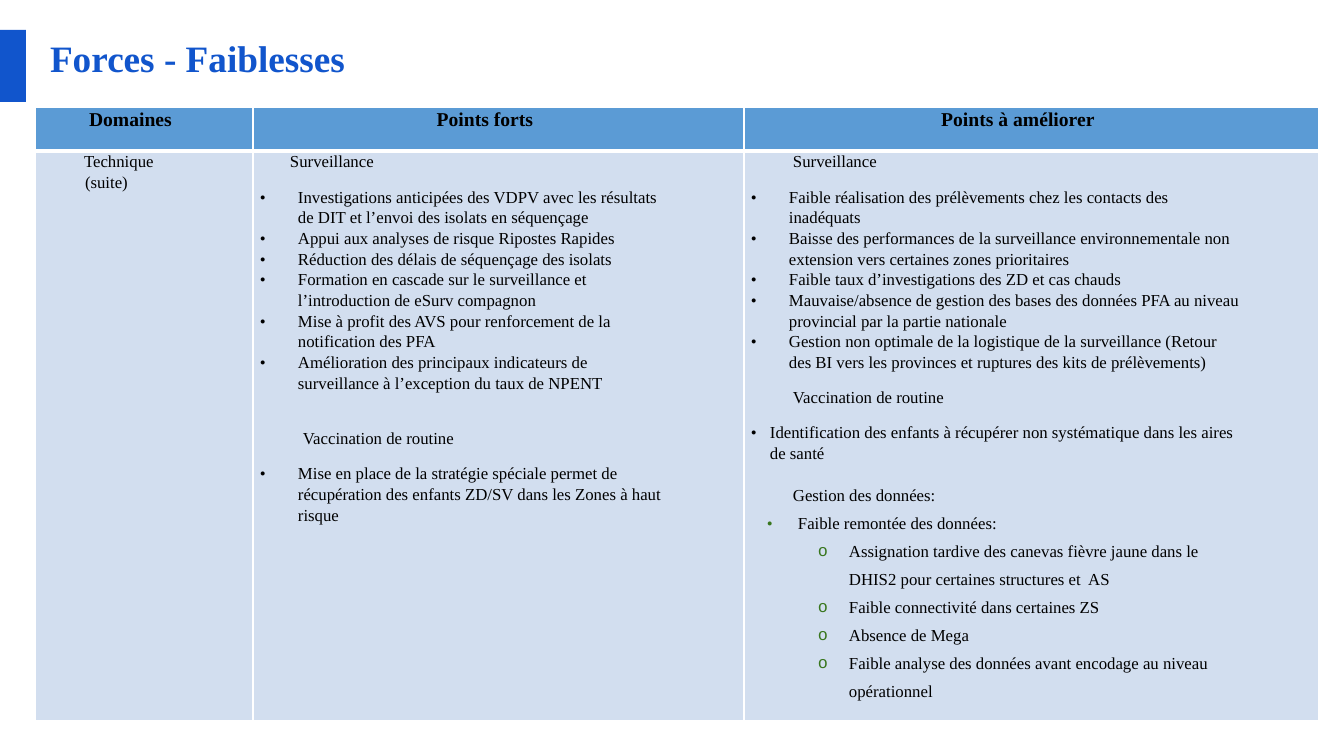
from lxml import etree
from pptx import Presentation
from pptx.dml.color import RGBColor
from pptx.enum.shapes import MSO_SHAPE
from pptx.enum.text import MSO_ANCHOR, MSO_AUTO_SIZE, PP_ALIGN
from pptx.oxml.ns import qn
from pptx.util import Emu, Pt

RECTANGLE = MSO_SHAPE.RECTANGLE
TOP = MSO_ANCHOR.TOP
NO_AUTOFIT = MSO_AUTO_SIZE.NONE
LEFT, CENTER = PP_ALIGN.LEFT, PP_ALIGN.CENTER

EMU_PER_PX = 914400 / 100.8
FONT = "Times New Roman"
BULLET_FONTS = {"•": FONT, "o": "Courier New"}
COLORS = {
    "accent": "1155CC", "header": "5B9BD5", "body": "D2DEEF",
    "text": "000000", "border": "FFFFFF", "green": "38761D",
}

COLUMN_WIDTHS = [218, 491, 575]
ROW_HEIGHTS = [44, 570]
CELL_INSET = 7
RIGHT_MARGIN = 69

# Paragraph formats: left margin and first-line indent in px, spacing in points
HEADER = dict(margin=43, indent=-1, after=10.3, size=14, bold=True, align=CENTER)
HEADING = dict(margin=43, indent=-1, after=10.3)
BULLET = dict(margin=38, indent=-38, bullet="•")
LAST_BULLET = dict(BULLET, after=10.3)
NARROW_BULLET = dict(LAST_BULLET, margin=19, indent=-19)
DATA_HEADING = dict(margin=42, spacing=1.5)
DATA_BULLET = dict(margin=47, indent=-31, spacing=1.5, bullet="•", bullet_color="green")
SUB_BULLET = dict(DATA_BULLET, margin=98, bullet="o", level=1)

HEADERS = ["Domaines", "Points forts", "Points à améliorer"]
DOMAIN = [(HEADING, ["Technique (suite)"])]
STRENGTHS = [
    (dict(HEADING, margin=30, indent=0), ["Surveillance"]),
    (BULLET, [
        "Investigations anticipées des VDPV avec les résultats de DIT et l’envoi des isolats en séquençage",
        "Appui aux analyses de risque Ripostes Rapides",
        "Réduction des délais de séquençage des isolats",
        "Formation en cascade sur le surveillance et l’introduction de eSurv compagnon",
        "Mise à profit des AVS pour renforcement de la notification des PFA",
        "Amélioration des principaux indicateurs de surveillance à l’exception du taux de NPENT",
    ]),
    (dict(HEADING, indent=0, before=25), ["Vaccination de routine"]),
    (BULLET, [
        "Mise en place de la stratégie spéciale permet de récupération des enfants ZD/SV "
        "dans les Zones à haut risque",
    ]),
]
WEAKNESSES = [
    (HEADING, ["Surveillance"]),
    (BULLET, [
        "Faible réalisation des prélèvements chez les contacts des inadéquats",
        "Baisse des performances de la surveillance environnementale non extension "
        "vers certaines zones prioritaires",
        "Faible taux d’investigations des ZD et cas chauds",
        "Mauvaise/absence de gestion des bases des données PFA au niveau provincial "
        "par la partie nationale",
    ]),
    (LAST_BULLET, [
        "Gestion non optimale de la logistique de la surveillance (Retour des BI vers "
        "les provinces et ruptures des kits de prélèvements)",
    ]),
    (HEADING, ["Vaccination de routine"]),
    (NARROW_BULLET, [
        "Identification des enfants à récupérer non systématique dans les aires de santé",
    ]),
    (DATA_HEADING, ["Gestion des données:"]),
    (DATA_BULLET, ["Faible remontée des données:"]),
    (SUB_BULLET, [
        "Assignation tardive des canevas fièvre jaune dans le DHIS2 pour certaines structures et  AS",
        "Faible connectivité dans certaines ZS",
        "Absence de Mega",
        "Faible analyse des données avant encodage au niveau opérationnel",
    ]),
]


def px(value):
    return Emu(round(value * EMU_PER_PX))


def rgb(name):
    return RGBColor.from_string(COLORS[name])


def add_element(parent, tag, **attributes):
    element = etree.SubElement(parent, qn(tag))
    for name, value in attributes.items():
        element.set(name, str(value))
    return element


def write_paragraph(paragraph, text, size=12, bold=False, color="text", align=LEFT,
                    margin=0, indent=0, right=0, spacing=1.11, before=0, after=0,
                    bullet=None, bullet_color="text", level=0):
    paragraph.alignment = align
    paragraph.level = level
    paragraph.line_spacing = spacing
    paragraph.space_before = Pt(before)
    paragraph.space_after = Pt(after)
    properties = paragraph._p.get_or_add_pPr()
    for name, value in (("marL", margin), ("marR", right), ("indent", indent)):
        properties.set(name, str(px(value)))
    if bullet:
        bullet_fill = add_element(properties, "a:buClr")
        add_element(bullet_fill, "a:srgbClr", val=COLORS[bullet_color])
        add_element(properties, "a:buFont", typeface=BULLET_FONTS[bullet])
        add_element(properties, "a:buChar", char=bullet)
    else:
        add_element(properties, "a:buNone")
    run = paragraph.add_run()
    run.text = text
    run.font.name = FONT
    run.font.size = Pt(size)
    run.font.bold = bold
    run.font.color.rgb = rgb(color)


def set_borders(cell, top=1, bottom=1):
    properties = cell._tc.get_or_add_tcPr()
    sides = (("a:lnL", 1), ("a:lnR", 1), ("a:lnT", top), ("a:lnB", bottom))
    for position, (tag, width) in enumerate(sides):
        line = add_element(properties, tag, w=Pt(width))
        fill = add_element(line, "a:solidFill")
        add_element(fill, "a:srgbClr", val=COLORS["border"])
        properties.insert(position, line)


def fill_cell(cell, groups, color, **borders):
    cell.margin_left = cell.margin_right = px(CELL_INSET)
    cell.margin_top = cell.margin_bottom = 0
    cell.vertical_anchor = TOP
    cell.fill.solid()
    cell.fill.fore_color.rgb = rgb(color)
    set_borders(cell, **borders)
    lines = [(text, style) for style, texts in groups for text in texts]
    frame = cell.text_frame
    for number, (text, style) in enumerate(lines):
        paragraph = frame.add_paragraph() if number else frame.paragraphs[0]
        write_paragraph(paragraph, text, right=RIGHT_MARGIN, **style)


def add_title(slide, text):
    title = slide.shapes.title
    title.left, title.top, title.width, title.height = map(px, (50, 35, 1243, 81))
    frame = title.text_frame
    frame.margin_left = frame.margin_right = frame.margin_top = frame.margin_bottom = 0
    frame.vertical_anchor = TOP
    frame.auto_size = NO_AUTOFIT
    frame.word_wrap = True
    write_paragraph(frame.paragraphs[0], text, size=26.6, bold=True, color="accent", spacing=1.0)


def add_accent_bar(slide):
    bar = slide.shapes.add_shape(RECTANGLE, *map(px, (0, 30, 26, 72)))
    bar.shadow.inherit = False
    bar.fill.solid()
    bar.fill.fore_color.rgb = rgb("accent")
    bar.line.fill.background()


def add_assessment_table(slide):
    frame = slide.shapes.add_table(
        len(ROW_HEIGHTS), len(COLUMN_WIDTHS), px(35), px(107),
        px(sum(COLUMN_WIDTHS)), px(sum(ROW_HEIGHTS)))
    table = frame.table
    table.first_row = table.horz_banding = False
    for column, width in zip(table.columns, COLUMN_WIDTHS):
        column.width = px(width)
    for row, height in zip(table.rows, ROW_HEIGHTS):
        row.height = px(height)
    for column, groups in enumerate((DOMAIN, STRENGTHS, WEAKNESSES)):
        fill_cell(table.cell(0, column), [(HEADER, [HEADERS[column]])], "header", bottom=3)
        fill_cell(table.cell(1, column), groups, "body", top=3)


def main():
    presentation = Presentation()
    presentation.slide_width, presentation.slide_height = px(1344), px(756)
    slide = presentation.slides.add_slide(presentation.slide_layouts[5])
    add_title(slide, "Forces - Faiblesses")
    add_accent_bar(slide)
    add_assessment_table(slide)
    presentation.save("out.pptx")


if __name__ == "__main__":
    main()
